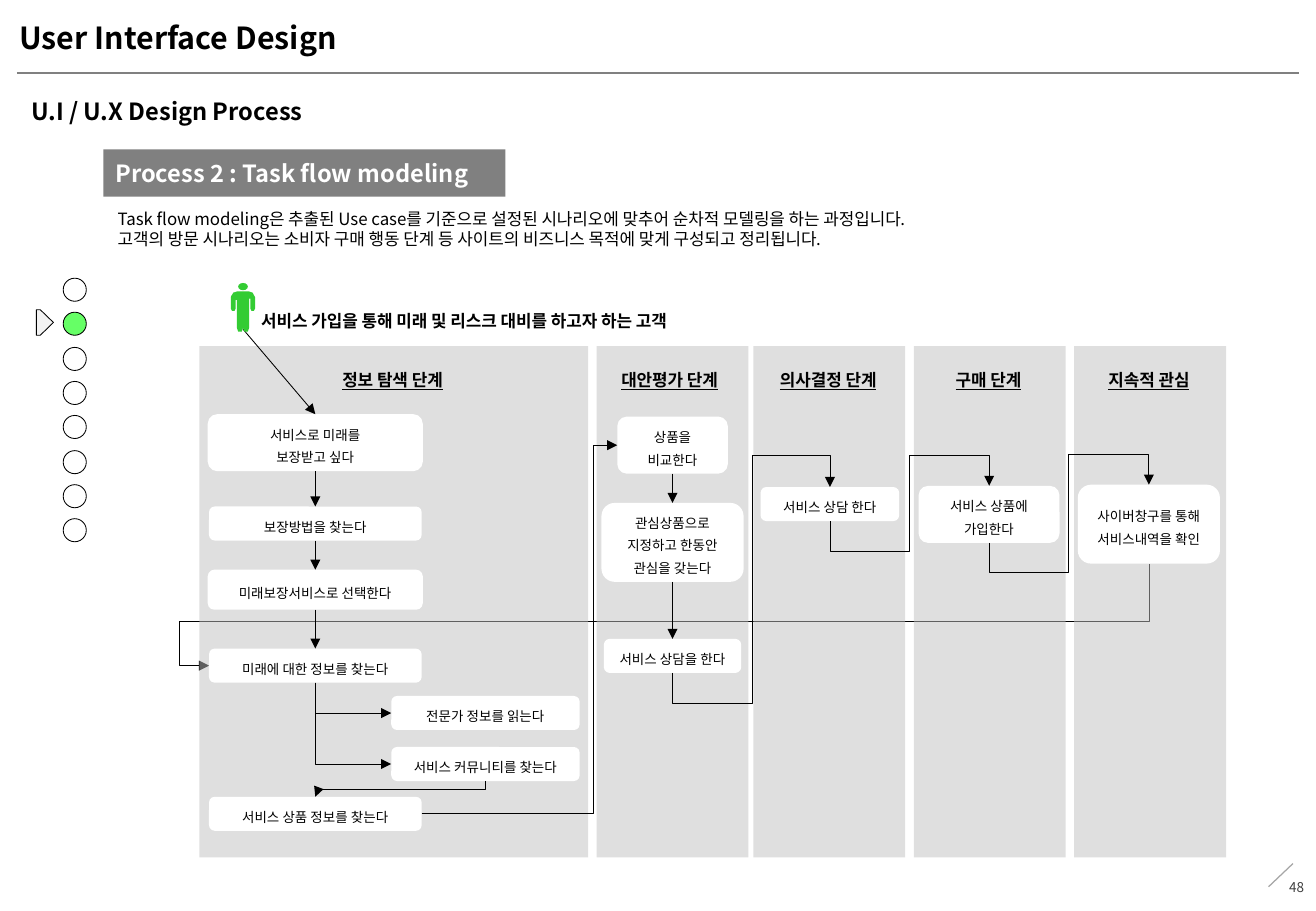
from lxml import etree
from pptx import Presentation
from pptx.dml.color import RGBColor
from pptx.enum.shapes import MSO_CONNECTOR, MSO_SHAPE
from pptx.enum.text import MSO_ANCHOR, PP_ALIGN
from pptx.oxml.ns import qn
from pptx.util import Pt

EMU_PER_PX = 9144  # 100 px to the inch
FONT = "Noto Sans CJK KR"
STRAIGHT, ELBOW = MSO_CONNECTOR.STRAIGHT, MSO_CONNECTOR.ELBOW
RECT, ROUNDED = MSO_SHAPE.RECTANGLE, MSO_SHAPE.ROUNDED_RECTANGLE
OVAL, PENTAGON = MSO_SHAPE.OVAL, MSO_SHAPE.PENTAGON
LEFT, CENTER, RIGHT = PP_ALIGN.LEFT, PP_ALIGN.CENTER, PP_ALIGN.RIGHT
TOP, MIDDLE = MSO_ANCHOR.TOP, MSO_ANCHOR.MIDDLE
SIDE_TOP, SIDE_LEFT, SIDE_BOTTOM, SIDE_RIGHT = range(4)
BLACK, WHITE, GREEN, PERSON_GREEN = "000000", "FFFFFF", "66FF66", "33CC33"

# Content
TITLE = "User Interface Design"
SUBTITLE = "U.I / U.X Design Process"
PROCESS = "Process 2 : Task flow modeling"
INTRO = ("Task flow modeling은 추출된 Use case를 기준으로 설정된 시나리오에 맞추어 순차적 모델링을 하는 과정입니다.\n"
         "고객의 방문 시나리오는 소비자 구매 행동 단계 등 사이트의 비즈니스 목적에 맞게 구성되고 정리됩니다.")
CUSTOMER = "서비스 가입을 통해 미래 및 리스크 대비를 하고자 하는 고객"
PAGE_NUMBER = "48"
PROGRESS_STEPS, CURRENT_STEP = 8, 1

# heading, left, column width, heading width
STAGES = [
    ("정보 탐색 단계", 164, 320, 320),
    ("대안평가 단계", 491, 125, 122),
    ("의사결정 단계", 620, 125, 125),
    ("구매 단계", 752, 125, 125),
    ("지속적 관심", 884, 125, 125),
]
# text, left, top, width, height
TASKS = {
    "need": ("서비스로 미래를\n보장받고 싶다", 171, 341, 177, 47),
    "method": ("보장방법을 찾는다", 172, 417, 175, 28),
    "choose": ("미래보장서비스로 선택한다", 171, 469, 177, 33),
    "search": ("미래에 대한 정보를 찾는다", 172, 534, 175, 28),
    "expert": ("전문가 정보를 읽는다", 322, 573, 155, 28),
    "community": ("서비스 커뮤니티를 찾는다", 322, 615, 155, 28),
    "product": ("서비스 상품 정보를 찾는다", 172, 656, 175, 28),
    "compare": ("상품을\n비교한다", 508, 343, 91, 47),
    "interest": ("관심상품으로 지정하고 한동안 관심을 갖는다", 495, 414, 117, 65),
    "ask": ("서비스 상담을 한다", 497, 526, 113, 28),
    "consult": ("서비스 상담 한다", 626, 401, 114, 28),
    "join": ("서비스 상품에\n가입한다", 756, 400, 116, 47),
    "check": ("사이버창구를 통해\n서비스내역을 확인", 887, 399, 117, 65),
}
DOWN_ARROWS = [("need", "method"), ("method", "choose"), ("choose", "search"),
               ("compare", "interest"), ("interest", "ask")]
# from, side, to, side, lanes where the route turns
RETURN_ROUTE = ("check", SIDE_BOTTOM, "search", SIDE_LEFT, (512, 148))
ROUTES = [
    ("search", SIDE_BOTTOM, "expert", SIDE_LEFT, ()),
    ("search", SIDE_BOTTOM, "community", SIDE_LEFT, ()),
    ("community", SIDE_BOTTOM, "product", SIDE_TOP, (650,)),
    ("product", SIDE_RIGHT, "compare", SIDE_LEFT, (488,)),
    ("ask", SIDE_BOTTOM, "consult", SIDE_TOP, (579, 619, 375)),
    ("consult", SIDE_BOTTOM, "join", SIDE_TOP, (454, 748, 375)),
    ("join", SIDE_BOTTOM, "check", SIDE_TOP, (471, 879, 374)),
]
PERSON_CENTER = 200
PERSON_RIGHT_HALF = [(200, 240), (205, 240), (208, 241), (210, 245), (210, 254),
                     (209, 256), (207, 256), (206, 254), (206, 246), (205, 246),
                     (205, 270), (204, 273), (201, 273), (200, 270), (200, 256)]


def px(value):
    return round(value * EMU_PER_PX)


def color(value):
    return RGBColor.from_string(value)


def paint(shape, fill, line=None):
    shape.shadow.inherit = False
    shape.fill.solid()
    shape.fill.fore_color.rgb = color(fill)
    if line:
        shape.line.color.rgb = color(line)
        shape.line.width = Pt(0.5)
    else:
        shape.line.fill.background()
    return shape


def add_box(kind, box, fill, line=None, parent=None):
    shapes = parent or slide.shapes
    return paint(shapes.add_shape(kind, *map(px, box)), fill, line)


def write(shape, text, size, ink=BLACK, bold=False, underline=False,
          align=LEFT, anchor=TOP, spacing=None, insets=None, wrap=True):
    frame = shape.text_frame
    frame.text = text
    frame.word_wrap = wrap
    frame.vertical_anchor = anchor
    if insets:
        (frame.margin_left, frame.margin_top,
         frame.margin_right, frame.margin_bottom) = map(px, insets)
    for paragraph in frame.paragraphs:
        paragraph.alignment = align
        if spacing:
            paragraph.line_spacing = spacing
        for run in paragraph.runs:
            font = run.font
            font.size, font.bold, font.underline = Pt(size), bold, underline
            font.color.rgb = color(ink)
            font.name = FONT
            etree.SubElement(font._element, qn("a:ea"), typeface=FONT)


def add_text(box, text, size, **style):
    write(slide.shapes.add_textbox(*map(px, box)), text, size, **style)


def add_line(kind, start, end, ink=BLACK, width=0.5, arrow=True):
    line = slide.shapes.add_connector(kind, *map(px, (*start, *end)))
    line.line.color.rgb = color(ink)
    line.line.width = Pt(width)
    if arrow:
        etree.SubElement(line.line._get_or_add_ln(), qn("a:tailEnd"), type="triangle")
    etree.SubElement(line._element.spPr, qn("a:effectLst"))
    return line


def side_point(task, side):
    _, left, top, width, height = TASKS[task]
    return [(left + width / 2, top), (left, top + height / 2),
            (left + width / 2, top + height), (left + width, top + height / 2)][side]


def add_route(source, source_side, target, target_side, lanes):
    start, end = side_point(source, source_side), side_point(target, target_side)
    dx, dy = end[0] - start[0], end[1] - start[1]
    vertical = source_side == SIDE_BOTTOM
    # Along and across distances in the connector's own, unrotated frame
    if not vertical:
        rotation, along, across = 0, dx, dy
    elif dx > 0 and dy > 0:
        rotation, along, across = 270, -dy, dx
    else:
        rotation, along, across = 90, dy, -dx
    mid_x, mid_y = (start[0] + end[0]) / 2, (start[1] + end[1]) / 2
    half_w, half_h = abs(along) / 2, abs(across) / 2
    line = add_line(ELBOW, (mid_x - half_w, mid_y - half_h), (mid_x + half_w, mid_y + half_h))
    frame = line._element.spPr.find(qn("a:xfrm"))
    frame.set("rot", str(rotation * 60000))
    frame.set("flipH", str(int(along < 0)))
    frame.set("flipV", str(int(across < 0)))
    geometry = line._element.spPr.find(qn("a:prstGeom"))
    geometry.set("prst", f"bentConnector{len(lanes) + 2}")
    guides = geometry.find(qn("a:avLst"))
    for i, lane in enumerate(lanes):
        axis = (i + vertical) % 2
        share = (lane - start[axis]) / (end[axis] - start[axis])
        etree.SubElement(guides, qn("a:gd"), name=f"adj{i + 1}" if len(lanes) > 1 else "adj1",
                         fmla=f"val {round(share * 100000)}")


prs = Presentation()
prs.slide_width, prs.slide_height = px(1083), px(750)
slide = prs.slides.add_slide(prs.slide_layouts[6])

# Page frame and headings
add_line(STRAIGHT, (14, 60), (1069, 60), "808080", 0.75, arrow=False)
add_line(STRAIGHT, (1064, 711), (1044, 730), "A6A6A6", 0.75, arrow=False)
add_text((1022, 710, 61, 40), PAGE_NUMBER, 8, ink="404040", align=RIGHT, anchor=MIDDLE)
add_text((16, 10, 809, 42), TITLE, 18, bold=True, insets=(0, 6, 0, 6))
add_text((16, 75, 1054, 34), SUBTITLE, 14, bold=True)
write(add_box(RECT, (85, 123, 331, 39), "808080"), PROCESS, 14,
      ink=WHITE, bold=True, anchor=MIDDLE)
add_text((87, 167, 959, 44), INTRO, 10)
add_text((205, 244, 458, 31), CUSTOMER, 10, bold=True, spacing=1.4)

# Progress dots and marker
for step in range(PROGRESS_STEPS):
    dot_top = 229 + round(step * 28.3)
    add_box(OVAL, (52, dot_top, 19, 19), GREEN if step == CURRENT_STEP else WHITE, BLACK)
add_box(PENTAGON, (30, 255, 14, 21), "F2F2F2", BLACK).adjustments[0] = 0.77

# Return route lies under the translucent stage columns
add_route(*RETURN_ROUTE)
for heading, left, width, heading_width in STAGES:
    column = add_box(RECT, (left, 285, width, 421), "C0C0C0")
    tint = column._element.spPr.find(qn("a:solidFill"))[0]
    etree.SubElement(tint, qn("a:alpha"), val="50000")
    add_text((left, 303, heading_width, 16), heading, 10, bold=True, underline=True,
             align=CENTER, spacing=1.1, insets=(0, 0, 2, 0), wrap=False)

# Tasks
task_boxes = {}
for task, (text, *box) in TASKS.items():
    task_boxes[task] = add_box(ROUNDED, box, WHITE)
    write(task_boxes[task], text, 8, align=CENTER, anchor=MIDDLE, spacing=1.4)

# Flow
for source, target in DOWN_ARROWS:
    arrow = add_line(STRAIGHT, side_point(source, SIDE_BOTTOM), side_point(target, SIDE_TOP))
    arrow.begin_connect(task_boxes[source], SIDE_BOTTOM)
    arrow.end_connect(task_boxes[target], SIDE_TOP)
for route in ROUTES:
    add_route(*route)
customer_arrow = add_line(STRAIGHT, (200, 271), side_point("need", SIDE_TOP))
customer_arrow.end_connect(task_boxes["need"], SIDE_TOP)

# Customer figure
person = slide.shapes.add_group_shape().shapes
add_box(OVAL, (196, 233, 8, 6), PERSON_GREEN, parent=person)
left_half = [(2 * PERSON_CENTER - x, y) for x, y in reversed(PERSON_RIGHT_HALF)]
outline = [(px(x), px(y)) for x, y in PERSON_RIGHT_HALF + left_half]
body = person.build_freeform(*outline[0])
body.add_line_segments(outline[1:], close=True)
paint(body.convert_to_shape(), PERSON_GREEN)
add_box(OVAL, (190, 242, 8, 5), PERSON_GREEN, parent=person)

prs.save("out.pptx")
